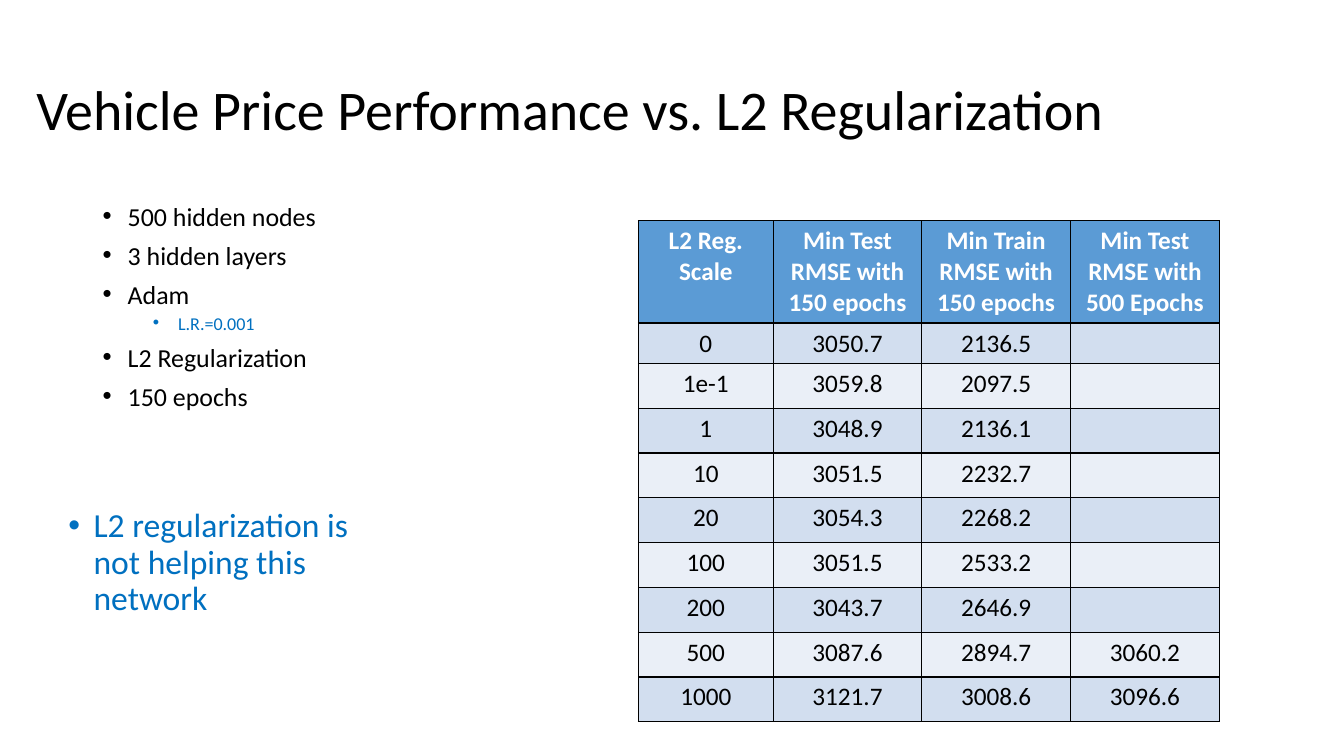
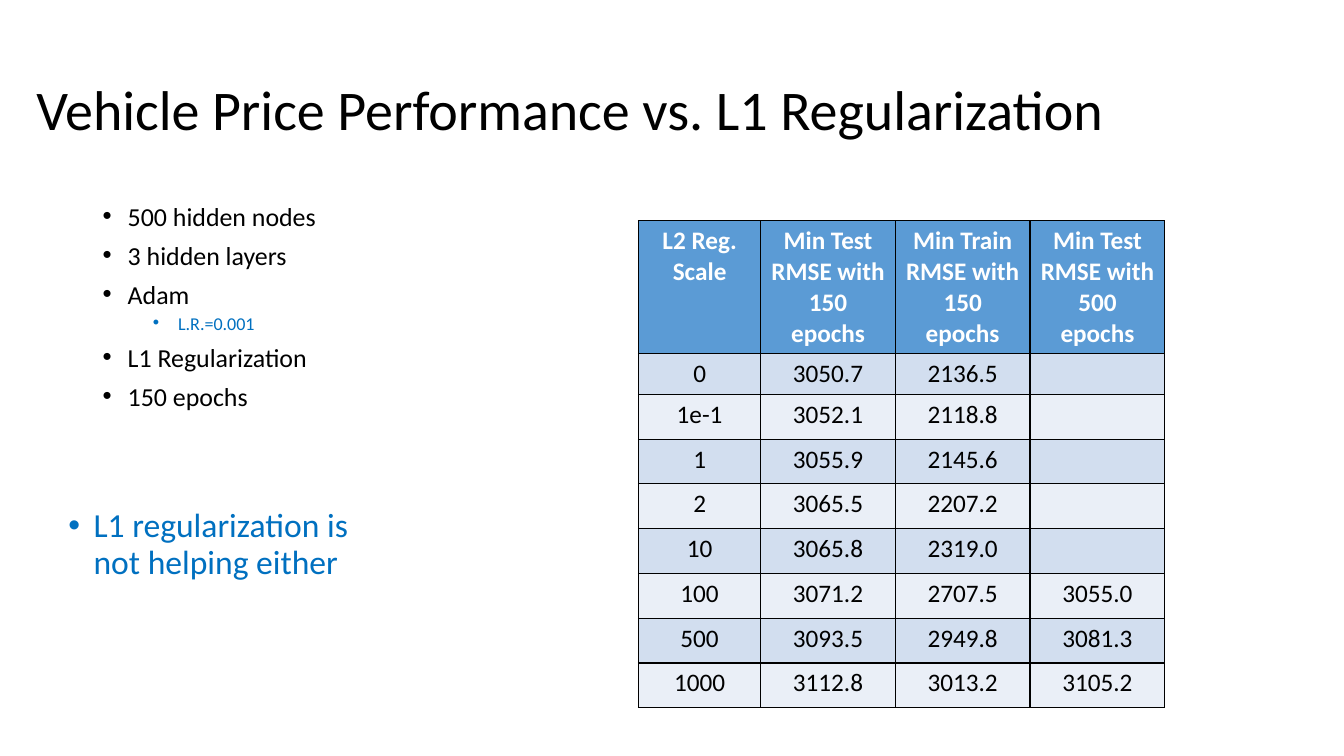
"""Build two slides comparing vehicle price error under L2 and L1 regularization."""
from dataclasses import dataclass

from lxml import etree
from pptx import Presentation
from pptx.dml.color import RGBColor
from pptx.enum import text
from pptx.oxml import ns
from pptx.util import Pt


@dataclass(frozen=True)
class Theme:
    font: str = "Calibri"
    black: str = "000000"
    white: str = "FFFFFF"
    accent: str = "0070C0"
    header: str = "5B9BD5"
    bands: tuple = ("D2DEEF", "EAEFF7")
    title_size: float = 40
    takeaway_size: float = 24
    table_size: float = 18
    setting_size: float = 18.5
    detail_size: float = 12.9


theme = Theme()


def write(paragraph, content, size, color, bold=False, **paragraph_format):
    for name, value in paragraph_format.items():
        setattr(paragraph, name, value)
    run = paragraph.add_run()
    run.text = content
    font_format = {"name": theme.font, "size": Pt(size), "bold": bold}
    for name, value in font_format.items():
        setattr(run.font, name, value)
    run.font.color.rgb = RGBColor.from_string(color)


def add_bullets(slide, box, items, line_spacing):
    frame = slide.shapes.add_textbox(*map(Pt, box)).text_frame
    frame.word_wrap = True
    for index, (content, level, size, color) in enumerate(items):
        paragraph = frame.add_paragraph() if index else frame.paragraphs[0]
        properties = paragraph._p.get_or_add_pPr()
        properties.set("marL", str(Pt(18 + 36 * level)))
        properties.set("indent", str(Pt(-18)))
        etree.SubElement(properties, ns.qn("a:buFont"), typeface="Arial")
        etree.SubElement(properties, ns.qn("a:buChar"), char="•")
        space = (5 if level else 10) if index else 0
        write(paragraph, content, size, color, level=level,
              line_spacing=line_spacing, space_before=Pt(space))


pages = [
    {
        "method": "L2",
        "takeaway": "L2 regularization is not helping this network",
        "last_heading": "Min Test RMSE with 500 Epochs",
        "header_lines": 3,
        "widths": (96.4, 106, 106.3, 106.3),
        "results": [
            ("0", "3050.7", "2136.5", ""),
            ("1e-1", "3059.8", "2097.5", ""),
            ("1", "3048.9", "2136.1", ""),
            ("10", "3051.5", "2232.7", ""),
            ("20", "3054.3", "2268.2", ""),
            ("100", "3051.5", "2533.2", ""),
            ("200", "3043.7", "2646.9", ""),
            ("500", "3087.6", "2894.7", "3060.2"),
            ("1000", "3121.7", "3008.6", "3096.6"),
        ],
    },
    {
        "method": "L1",
        "takeaway": "L1 regularization is not helping either",
        "last_heading": "Min Test RMSE with 500 epochs",
        "header_lines": 4,
        "widths": (87.5, 96, 96.3, 96.3),
        "results": [
            ("0", "3050.7", "2136.5", ""),
            ("1e-1", "3052.1", "2118.8", ""),
            ("1", "3055.9", "2145.6", ""),
            ("2", "3065.5", "2207.2", ""),
            ("10", "3065.8", "2319.0", ""),
            ("100", "3071.2", "2707.5", "3055.0"),
            ("500", "3093.5", "2949.8", "3081.3"),
            ("1000", "3112.8", "3013.2", "3105.2"),
        ],
    },
]

presentation = Presentation()
presentation.slide_width, presentation.slide_height = Pt(960), Pt(540)

for page in pages:
    slide = presentation.slides.add_slide(presentation.slide_layouts[5])

    title = slide.shapes.title
    title_box = {"left": 18.7, "top": 28, "width": 828, "height": 104.4}
    for name, value in title_box.items():
        setattr(title, name, Pt(value))
    frame_format = {"vertical_anchor": text.MSO_ANCHOR.MIDDLE,
                    "auto_size": text.MSO_AUTO_SIZE.NONE, "word_wrap": True}
    for name, value in frame_format.items():
        setattr(title.text_frame, name, value)
    write(title.text_frame.paragraphs[0],
          f"Vehicle Price Performance vs. {page['method']} Regularization",
          theme.title_size, theme.black,
          alignment=text.PP_ALIGN.LEFT, line_spacing=0.9)

    settings = [(content, 0, theme.setting_size, theme.black) for content in (
        "500 hidden nodes", "3 hidden layers", "Adam",
        f"{page['method']} Regularization", "150 epochs")]
    settings.insert(3, ("L.R.=0.001", 1, theme.detail_size, theme.accent))
    add_bullets(slide, (66.2, 144, 244, 161.3), settings, 0.8)

    headings = ("L2 Reg. Scale", "Min Test RMSE with 150 epochs",
                "Min Train RMSE with 150 epochs", page["last_heading"])
    rows = [headings, *page["results"]]
    heights = [22 * page["header_lines"] + 7, 29] + [32] * (len(rows) - 2)
    table = slide.shapes.add_table(
        len(rows), len(headings), Pt(456), Pt(157.7),
        Pt(sum(page["widths"])), Pt(sum(heights))).table
    table.horz_banding = False
    for column, width in zip(table.columns, page["widths"]):
        column.width = Pt(width)
    for row_index, (row, values) in enumerate(zip(table.rows, rows)):
        row.height = Pt(heights[row_index])
        is_header = row_index == 0
        fill = theme.header if is_header else theme.bands[(row_index - 1) % 2]
        color = theme.white if is_header else theme.black
        for cell, value in zip(row.cells, values):
            properties = cell._tc.get_or_add_tcPr()
            for side in ("lnL", "lnR", "lnT", "lnB"):
                border = etree.SubElement(properties, ns.qn(f"a:{side}"), w=str(Pt(1)))
                solid = etree.SubElement(border, ns.qn("a:solidFill"))
                etree.SubElement(solid, ns.qn("a:srgbClr"), val=theme.black)
            cell.fill.solid()
            cell.fill.fore_color.rgb = RGBColor.from_string(fill)
            if value:
                write(cell.text_frame.paragraphs[0], value, theme.table_size, color,
                      bold=is_header, alignment=text.PP_ALIGN.CENTER)

    takeaway = (page["takeaway"], 0, theme.takeaway_size, theme.accent)
    add_bullets(slide, (41.8, 360, 252, 163.4), [takeaway], 0.9)

presentation.save("out.pptx")
